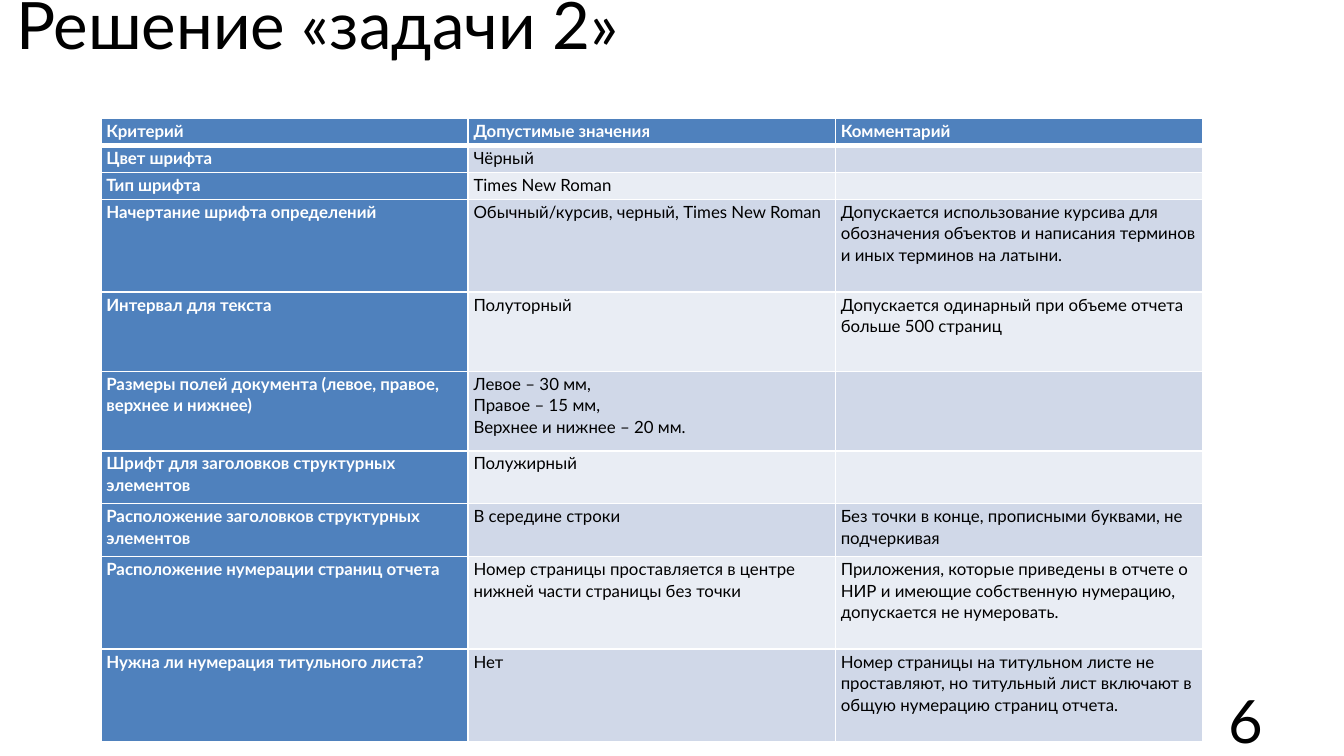
from dataclasses import dataclass

from lxml.etree import SubElement
from pptx import Presentation
from pptx.dml.color import RGBColor as Color
from pptx.enum.text import MSO_ANCHOR as Anchor, PP_ALIGN as Align
from pptx.oxml.ns import qn
from pptx.util import Cm, Pt


@dataclass(frozen=True)
class Theme:
    """Colours, font and type sizes of the deck."""
    font: str = "Lato"
    ink: str = "000000"
    paper: str = "FFFFFF"
    accent: str = "4F81BD"
    bands: tuple = ("D0D8E8", "E9EDF4")
    title_size: float = 35
    number_size: float = 32
    cell_size: float = 9
    cell_spacing: float = 1.07
    thin_rule: float = 1
    thick_rule: float = 3


class SlideBuilder:
    """Places styled elements on the current page."""

    def __init__(self, deck, theme):
        """Start a page with a title placeholder."""
        self.theme = theme
        self.page = deck.slides.add_slide(deck.slide_layouts[5])

    def add_span(self, para, text, size, color, bold=False):
        """Add one styled run to a paragraph."""
        span = para.add_run()
        span.text = text
        span.font.name = self.theme.font
        span.font.size = Pt(size)
        span.font.bold = bold
        span.font.color.rgb = Color.from_string(color)

    def title(self, text, left, top, width, height):
        """Fill and move the title placeholder."""
        box = self.page.shapes.title
        box.left, box.top, box.width, box.height = map(Cm, (left, top, width, height))
        frame = box.text_frame
        frame.vertical_anchor = Anchor.MIDDLE
        frame.paragraphs[0].alignment = Align.LEFT
        self.add_span(frame.paragraphs[0], text, self.theme.title_size, self.theme.ink)

    def page_number(self, text, left, top, width, height):
        """Add the right-aligned page number."""
        box = self.page.shapes.add_textbox(*map(Cm, (left, top, width, height)))
        frame = box.text_frame
        frame.word_wrap = True
        frame.vertical_anchor = Anchor.MIDDLE
        frame.paragraphs[0].alignment = Align.RIGHT
        self.add_span(frame.paragraphs[0], text, self.theme.number_size, self.theme.ink)

    def border(self, cell, side, width):
        """Draw one cell edge in the paper colour."""
        line = SubElement(cell._tc.get_or_add_tcPr(), qn(f"a:ln{side}"), w=str(Pt(width)))
        fill = SubElement(line, qn("a:solidFill"))
        SubElement(fill, qn("a:srgbClr"), val=self.theme.paper)

    def cell(self, cell, text, fill, color, bold, top_rule, bottom_rule):
        """Style one table cell and fill in its lines."""
        cell.margin_left, cell.margin_right = Cm(0.1), Cm(0.08)
        cell.margin_top, cell.margin_bottom = Cm(0.02), Cm(0)
        thin = self.theme.thin_rule
        for side, width in zip("LRTB", (thin, thin, top_rule, bottom_rule)):
            self.border(cell, side, width)
        cell.fill.solid()
        cell.fill.fore_color.rgb = Color.from_string(fill)
        frame = cell.text_frame
        for index, line in enumerate(text.split("\n")):
            para = frame.add_paragraph() if index else frame.paragraphs[0]
            para.line_spacing = self.theme.cell_spacing
            if line:
                self.add_span(para, line, self.theme.cell_size, color, bold)
            else:
                SubElement(para._p, qn("a:endParaRPr"), sz=str(int(self.theme.cell_size * 100)))

    def table(self, rows, heights, column_width, left, top):
        """Add a banded table with a header row and a header column."""
        theme = self.theme
        columns = len(rows[0])
        frame = self.page.shapes.add_table(
            len(rows), columns, Cm(left), Cm(top),
            Cm(column_width * columns), Cm(sum(heights)))
        table = frame.table
        for column in table.columns:
            column.width = Cm(column_width)
        for r, (texts, height) in enumerate(zip(rows, heights)):
            table.rows[r].height = Cm(height)
            top_rule = theme.thick_rule if r == 1 else theme.thin_rule
            bottom_rule = theme.thick_rule if r == 0 else theme.thin_rule
            for c, text in enumerate(texts):
                header = r == 0 or c == 0
                fill = theme.accent if header else theme.bands[(r - 1) % 2]
                color = theme.paper if header else theme.ink
                self.cell(table.cell(r, c), text, fill, color, header, top_rule, bottom_rule)


CRITERIA = [
    ("Критерий", "Допустимые значения", "Комментарий"),
    ("Цвет шрифта", "Чёрный", ""),
    ("Тип шрифта", "Times New Roman", ""),
    ("Начертание шрифта определений", "Обычный/курсив, черный, Times New Roman",
     "Допускается использование курсива для обозначения объектов "
     "и написания терминов и иных терминов на латыни."),
    ("Интервал для текста", "Полуторный",
     "Допускается одинарный при объеме отчета больше 500 страниц"),
    ("Размеры полей документа (левое, правое, верхнее и нижнее)",
     "Левое – 30 мм,\nПравое – 15 мм,\nВерхнее и нижнее – 20 мм.", ""),
    ("Шрифт для заголовков структурных элементов", "Полужирный", ""),
    ("Расположение заголовков структурных элементов", "В середине строки",
     "Без точки в конце, прописными буквами, не подчеркивая"),
    ("Расположение нумерации страниц отчета",
     "Номер страницы проставляется в центре нижней части страницы без точки",
     "Приложения, которые приведены в отчете о НИР и имеющие "
     "собственную нумерацию, допускается не нумеровать."),
    ("Нужна ли нумерация титульного листа?", "Нет",
     "Номер страницы на титульном листе не проставляют, но титульный "
     "лист включают в общую нумерацию страниц отчета."),
]
ROW_HEIGHTS = [0.51, 0.51, 0.51, 1.75, 1.5, 1.5, 1, 1, 1.75, 1.75]


def main():
    """Build and save the deck."""
    deck = Presentation()
    deck.slide_width, deck.slide_height = Cm(25.4), Cm(14.29)
    builder = SlideBuilder(deck, Theme())
    builder.title("Решение «задачи 2»", 0.05, -0.2, 22.66, 1.3)
    builder.page_number("6", 18.21, 13.23, 5.92, 0.76)
    builder.table(CRITERIA, ROW_HEIGHTS, 6.94, 1.91, 2.24)
    deck.save("out.pptx")


if __name__ == "__main__":
    main()
